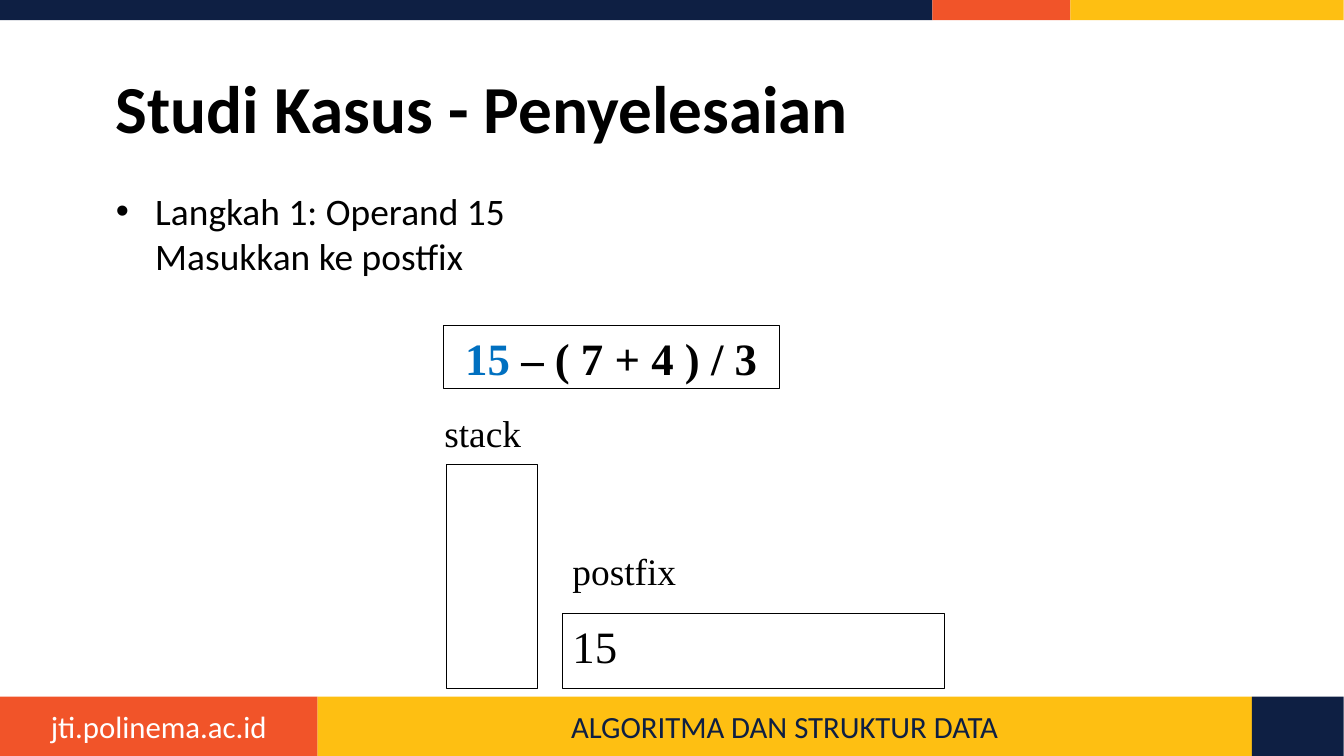
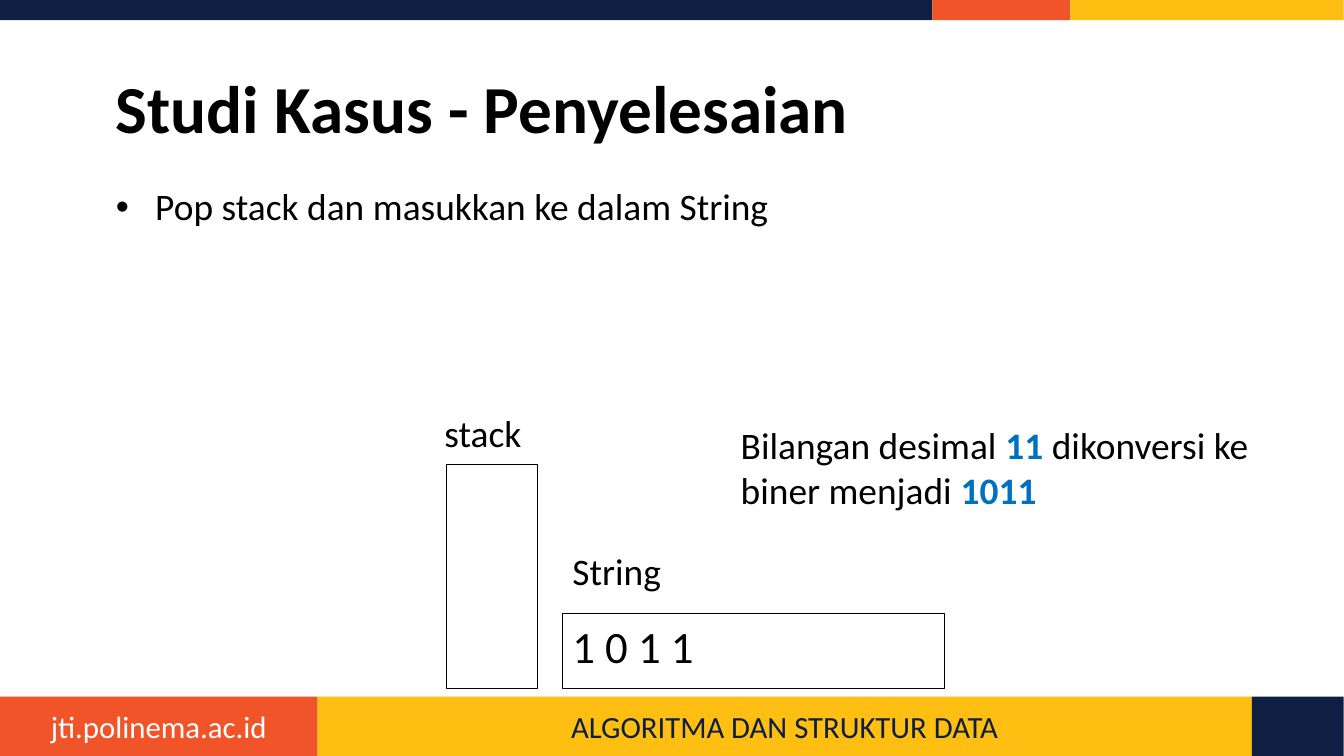
import pptx
import pptx.dml.color
import pptx.enum.shapes
import pptx.enum.text
import pptx.util

PX = 9144  # 100 px to the inch
COLORS = {"navy": "0E1F43", "orange": "F15429", "gold": "FEBF12",
          "white": "FFFFFF", "black": "000000", "blue": "0070C0"}
SANS, SERIF = "Calibri", "Times New Roman"
ALIGN = pptx.enum.text.PP_ALIGN
ANCHOR = pptx.enum.text.MSO_ANCHOR
RECT = pptx.enum.shapes.MSO_SHAPE.RECTANGLE
SIDES = ("left", "top", "width", "height")

# Color, place and label of each band
BANDS = [
    ("navy", (0, 0, 925, 20), None),
    ("orange", (925, 0, 137, 20), None),
    ("gold", (1062, 0, 271, 20), None),
    ("gold", (315, 691, 927, 59), ("ALGORITMA DAN STRUKTUR DATA", "navy")),
    ("orange", (0, 691, 315, 59), ("jti.polinema.ac.id", "white")),
    ("navy", (1242, 691, 91, 59), None),
]

# Runs are (text, color, bold); extras are (place, runs, size, framed)
SLIDES = [
    {"point": "Langkah 1: Operand 15\vMasukkan ke postfix", "spacing": 1.0,
     "face": SERIF, "label": "postfix", "result": "15",
     "extra": ((440, 323, 333, 62),
               [("15", "blue", True), (" – ( 7 + 4 ) / 3", "black", True)],
               32, True)},
    {"point": "Pop stack dan masukkan ke dalam String", "spacing": 0.9,
     "face": SANS, "label": "String", "result": "1 0 1 1",
     "extra": ((725, 414, 567, 100),
               [("Bilangan desimal ", "black", False), ("11 ", "blue", True),
                ("dikonversi ke biner menjadi ", "black", False),
                ("1011", "blue", True)],
               26.7, False)},
]


def style(font, color, **values):
    font.color.rgb = pptx.dml.color.RGBColor.from_string(COLORS[color])
    for name, value in values.items():
        setattr(font, name, value)


def box(slide, place, runs=(), size=26.7, face=SANS, fill=None, line=None,
        align=ALIGN.LEFT, anchor=ANCHOR.TOP):
    """Add a filled rectangle, or a plain text box when there is no fill."""
    spot = [n * PX for n in place]
    if fill:
        shape = slide.shapes.add_shape(RECT, *spot)
        shape.shadow.inherit = False
        shape.fill.solid()
        shape.fill.fore_color.rgb = pptx.dml.color.RGBColor.from_string(COLORS[fill])
        if line:
            shape.line.color.rgb = pptx.dml.color.RGBColor.from_string(COLORS[line])
            shape.line.width = pptx.util.Pt(0.75)
        else:
            shape.line.fill.background()
    else:
        shape = slide.shapes.add_textbox(*spot)
    frame = shape.text_frame
    frame.word_wrap = True
    frame.vertical_anchor = anchor
    par = frame.paragraphs[0]
    par.alignment = align
    for text, color, bold in runs:
        run = par.add_run()
        run.text = text
        style(run.font, color, name=face, size=pptx.util.Pt(size), bold=bold)


deck = pptx.Presentation()
deck.slide_width, deck.slide_height = 12192000, 6858000

for data in SLIDES:
    slide = deck.slides.add_slide(deck.slide_layouts[1])
    for fill, place, label in BANDS:
        runs = [(*label, False)] if label else []
        box(slide, place, runs, 22, fill=fill, align=ALIGN.CENTER,
            anchor=ANCHOR.MIDDLE)

    title, body = slide.placeholders
    for holder, place, text, size, bold, spacing in (
            (title, (105, 65, 1123, 84), "Studi Kasus - Penyelesaian", 48, True, 0.9),
            (body, (105, 177, 1123, 494), data["point"], 26.7, False, data["spacing"])):
        for side, length in zip(SIDES, place):
            setattr(holder, side, length * PX)
        frame = holder.text_frame
        frame.text = text
        frame.auto_size = pptx.enum.text.MSO_AUTO_SIZE.NONE
        frame.vertical_anchor = ANCHOR.TOP
        for side in SIDES[:2] + ("right", "bottom"):
            setattr(frame, "margin_" + side, 10 * PX)
        par = frame.paragraphs[0]
        par.alignment = ALIGN.LEFT
        par.line_spacing = spacing
        par.space_before = pptx.util.Pt(0)
        style(par.font, "black", name=SANS, size=pptx.util.Pt(size), bold=bold)
        for run in par.runs:
            style(run.font, "black", name=SANS, size=pptx.util.Pt(size), bold=bold)
    props = body.text_frame.paragraphs[0]._p.get_or_add_pPr()
    props.set("marL", str(39 * PX))
    props.set("indent", str(-39 * PX))

    face = data["face"]
    frame = {"fill": "white", "line": "black"}
    box(slide, (443, 461, 90, 222), **frame)
    box(slide, (431, 402, 113, 51), [("stack", "black", False)], face=face)
    box(slide, (558, 609, 379, 74), [(data["result"], "black", False)], 32, face, **frame)
    box(slide, (558, 539, 152, 51), [(data["label"], "black", False)], face=face)
    place, runs, size, framed = data["extra"]
    if framed:
        box(slide, place, runs, size, face, align=ALIGN.CENTER, **frame)
    else:
        box(slide, place, runs, size, face)

deck.save("out.pptx")
